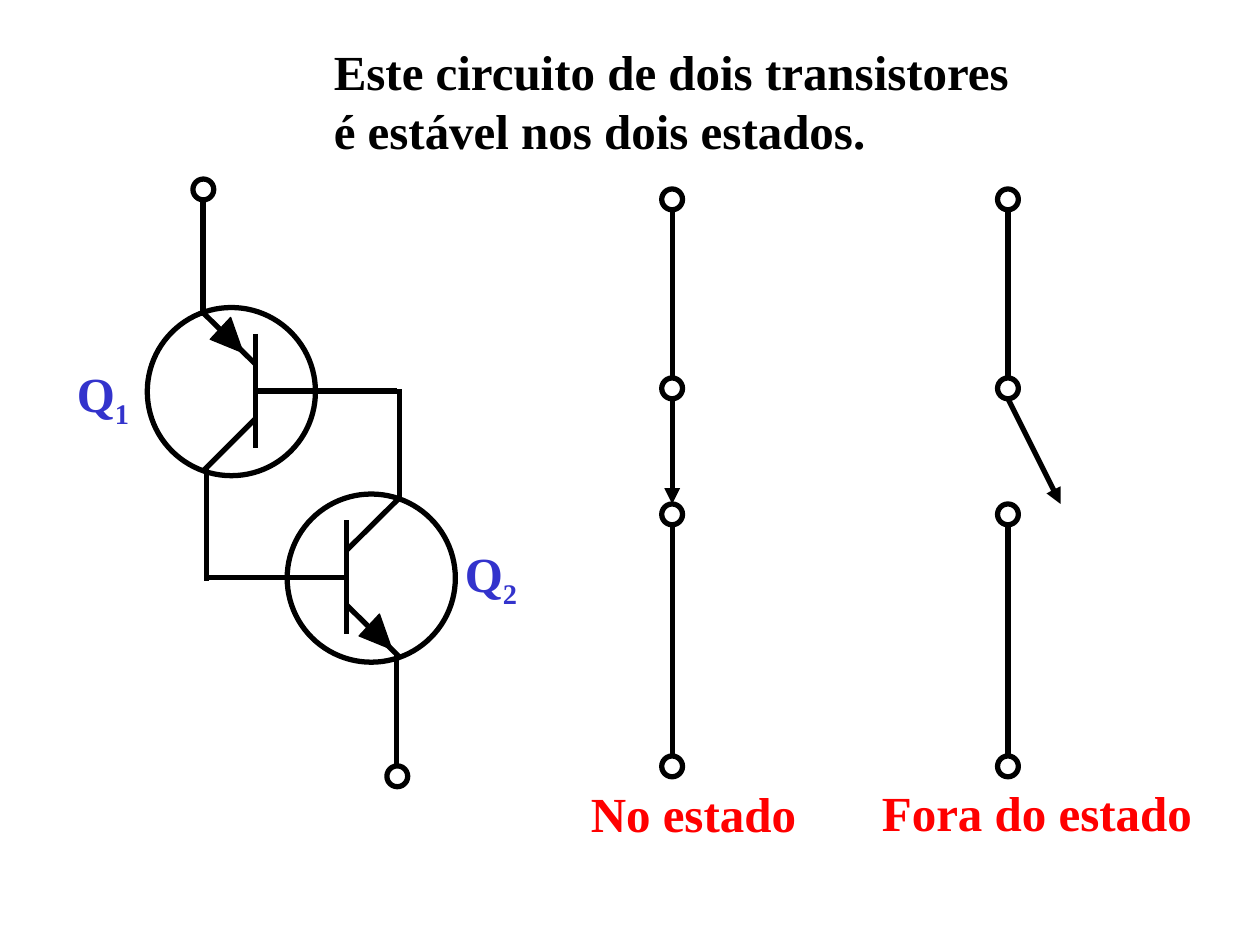
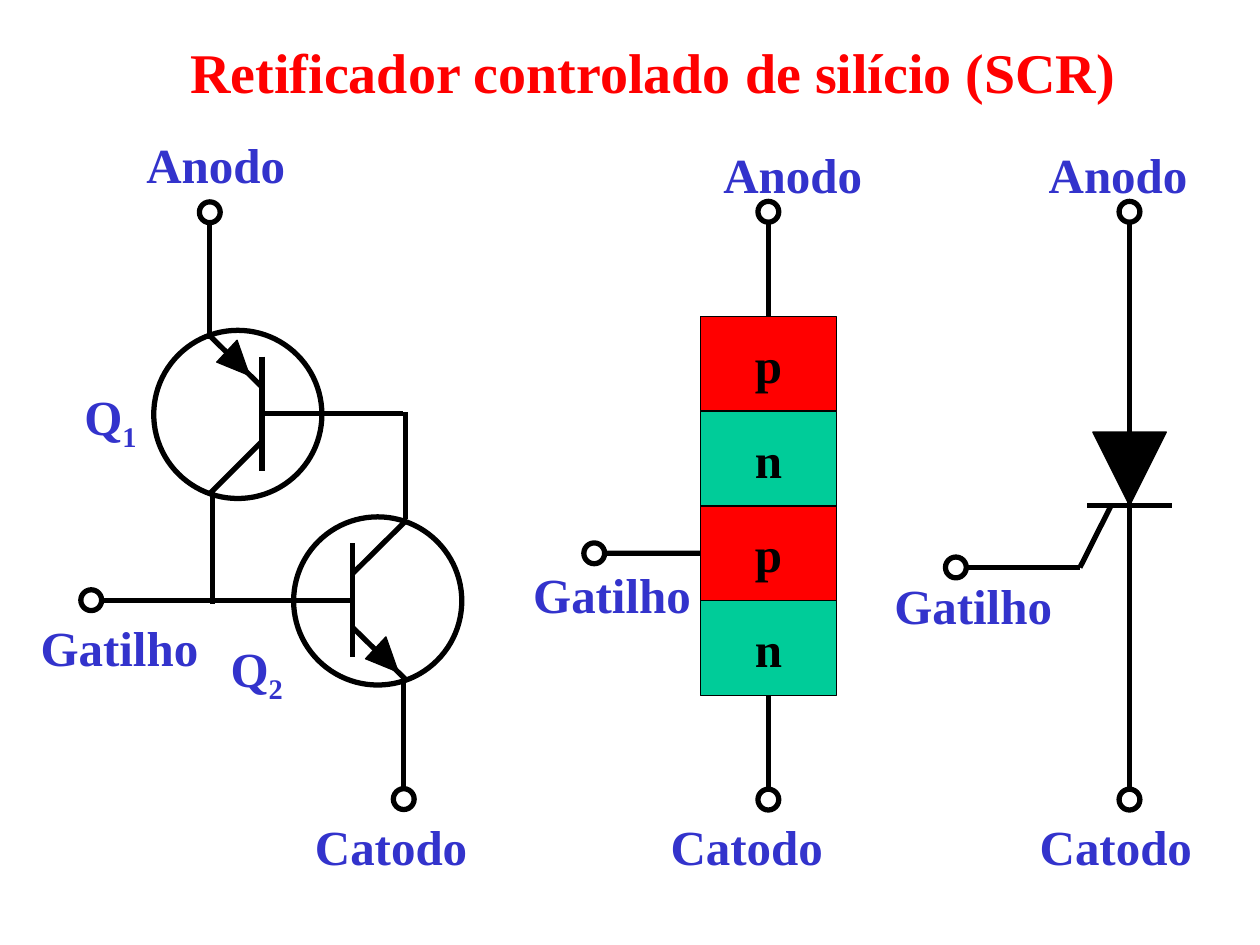
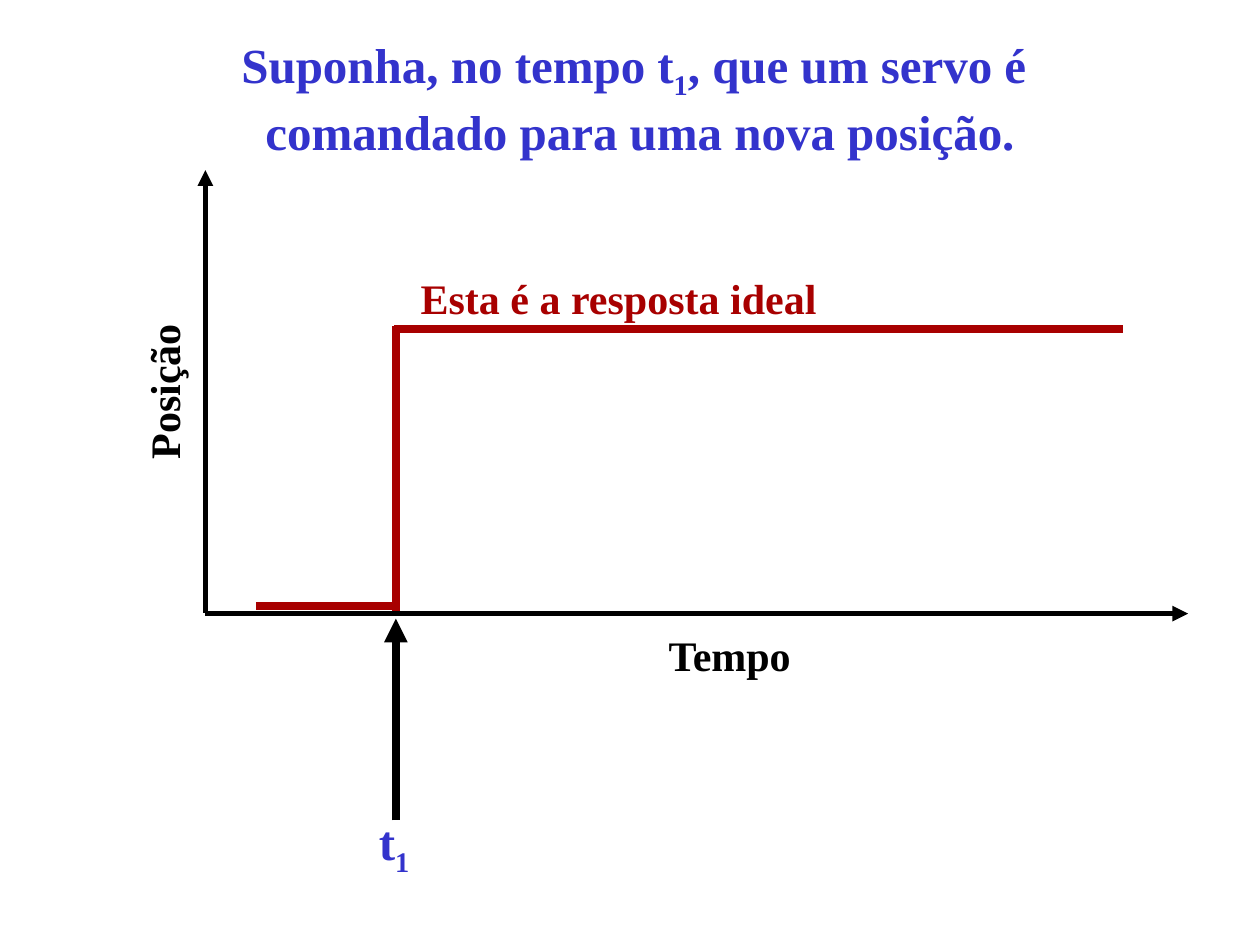
"""Build three slides on the SCR, its two-transistor model and the ideal servo response."""

from lxml.etree import SubElement
from pptx import Presentation
from pptx.dml.color import RGBColor
from pptx.enum.shapes import MSO_CONNECTOR, MSO_SHAPE
from pptx.enum.text import MSO_ANCHOR, MSO_AUTO_SIZE, PP_ALIGN
from pptx.oxml.ns import qn
from pptx.util import Cm, Pt

BLACK = RGBColor(0x00, 0x00, 0x00)
BLUE = RGBColor(0x33, 0x33, 0xCC)
RED = RGBColor(0xFF, 0x00, 0x00)
GREEN = RGBColor(0x00, 0xCC, 0x99)
DARK_RED = RGBColor(0xA8, 0x00, 0x00)
FONT = "Times New Roman"

WIRE, THICK, THIN = 3, 4.5, 0.75
TERMINAL_RADIUS = 0.21
CIRCLE_SIZE = 3.39
TRANSISTOR_LABEL_WIDTH = 1.7

STATE_LABELS = [
    (6.48, 0.71, 14.4, ["Este circuito de dois transistores", "é estável nos dois estados."], BLACK, 28),
    (11.66, 15.67, 4.65, ["No estado"], RED, 28),
    (17.53, 15.65, 6.76, ["Fora do estado"], RED, 28),
    (1.3, 7.2, TRANSISTOR_LABEL_WIDTH, ["Q_1"], BLUE, 28),
    (9.12, 10.83, TRANSISTOR_LABEL_WIDTH, ["Q_2"], BLUE, 28),
]
SCR_LABELS = [
    (3.59, 0.64, 19.2, ["Retificador controlado de silício (SCR)"], RED, 32),
    (1.45, 7.66, TRANSISTOR_LABEL_WIDTH, ["Q_1"], BLUE, 28),
    (4.4, 12.74, TRANSISTOR_LABEL_WIDTH, ["Q_2"], BLUE, 28),
]
ELECTRODES = [
    ("Anodo", 3.3, [(2.7, 2.58), (14.33, 2.79), (20.89, 2.79)]),
    ("Gatilho", 3.68, [(0.57, 12.32), (10.5, 11.25), (17.78, 11.47)]),
    ("Catodo", 3.58, [(6.1, 16.33), (13.27, 16.33), (20.71, 16.33)]),
]
SERVO_LABELS = [
    (13.23, 12.57, 3.05, ["Tempo"], BLACK, 24),
    (7.39, 16.23, 1.2, ["t_1"], BLUE, 28),
    (8.23, 5.36, 8.71, ["Esta é a resposta ideal"], DARK_RED, 24),
]
SERVO_TITLE = (4.55, 0.57, 16.7,
               ["Suponha, no tempo t_1_, que um servo é ", "comandado para uma nova posição."], BLUE, 28)
POSITION_LABEL = (1.68, 7.26, 3.23, ["Posição"], BLACK, 24)

PAIR_CIRCLES = [(0, 0), (2.82, 3.76)]
PAIR_TERMINALS = [(1.13, -2.38), (5.04, 9.45)]
PAIR_WIRES = [
    ((2.18, 0.53), (2.18, 2.84)),
    ((2.18, 1.14), (1.12, 0.1)),
    ((2.2, 1.68), (5.03, 1.68)),
    ((2.18, 2.24), (1.12, 3.3)),
    ((1.19, 3.23), (1.19, 5.51)),
    ((1.12, -2.16), (1.12, 0.18)),
    ((4.01, 4.29), (4.01, 6.58)),
    ((4.01, 5.99), (5.08, 7.04)),
    ((4.01, 4.9), (5.08, 3.84)),
    ((5.08, 3.81), (5.08, 1.65)),
    ((5.03, 9.22), (5.03, 6.99)),
]
PAIR_BASE_Y, PAIR_BASE_RIGHT = 5.44, 3.99
EMITTER_ARROW = [(1.93, 0.91), (1.68, 0.2), (1.27, 0.64)]
ARROW_OFFSETS = [(0, 0), (3, 5.98)]

SWITCHES = [(13.55, 0), (20.32, 1.06)]
SWITCH_TERMINALS = [4.02, 7.83, 10.37, 15.45]

ANODE_Y, CATHODE_Y = 4.27, 16.12
LAYERS = [("p", RED), ("n", GREEN), ("p", RED), ("n", GREEN)]
STACK_X, STACK_TOP, LAYER_WIDTH, LAYER_HEIGHT = 15.49, 6.38, 2.74, 1.91
STACK_GATE_X = 11.98
SYMBOL_X, SYMBOL_BAR_Y, TRIANGLE_SIZE, BAR_LENGTH = 22.77, 10.19, 1.48, 1.7
SYMBOL_GATE = (19.27, 11.44)

AXES = [((4.14, 12.37), (23.95, 12.37)), ((4.14, 12.35), (4.14, 3.43))]
STEP = [((5.16, 12.22), (8.03, 12.22)), ((7.98, 12.32), (7.98, 6.58)), ((7.95, 6.63), (22.63, 6.63))]
STEP_MARK = ((7.98, 16.54), (7.98, 12.47))


def style_font(paragraph, colour, size):
    paragraph.font.name = FONT
    paragraph.font.size = Pt(size)
    paragraph.font.bold = True
    paragraph.font.color.rgb = colour


def add_label(slide, left, top, width, lines, colour, size, alignment=PP_ALIGN.LEFT):
    height = 0.25 + len(lines) * size * 0.0424
    box = slide.shapes.add_textbox(Cm(left), Cm(top), Cm(width), Cm(height))
    frame = box.text_frame
    frame.word_wrap = False
    frame.auto_size = MSO_AUTO_SIZE.SHAPE_TO_FIT_TEXT
    for number, line in enumerate(lines):
        paragraph = frame.add_paragraph() if number else frame.paragraphs[0]
        paragraph.alignment = alignment
        style_font(paragraph, colour, size)
        for position, text in enumerate(line.split("_")):
            run = paragraph.add_run()
            run.text = text
            if position % 2:
                run._r.get_or_add_rPr().set("baseline", "-25000")
    return box


def add_wire(slide, start, end, colour=BLACK, weight=WIRE, arrow=False):
    points = [Cm(value) for value in (*start, *end)]
    wire = slide.shapes.add_connector(MSO_CONNECTOR.STRAIGHT, *points)
    wire.line.color.rgb = colour
    wire.line.width = Pt(weight)
    if arrow:
        SubElement(wire.line._get_or_add_ln(), qn("a:tailEnd"), type="triangle")
    SubElement(wire._element.spPr, qn("a:effectLst"))
    return wire


def style_outline(shape, weight, fill=None):
    shape.shadow.inherit = False
    shape.line.color.rgb = BLACK
    shape.line.width = Pt(weight)
    if fill is None:
        shape.fill.background()
    else:
        shape.fill.solid()
        shape.fill.fore_color.rgb = fill


def add_figure(slide, kind, left, top, width, height, weight, fill=None):
    shape = slide.shapes.add_shape(kind, Cm(left), Cm(top), Cm(width), Cm(height))
    style_outline(shape, weight, fill)
    return shape


def add_terminal(slide, x, y):
    diameter = 2 * TERMINAL_RADIUS
    add_figure(slide, MSO_SHAPE.OVAL, x - TERMINAL_RADIUS, y - TERMINAL_RADIUS, diameter, diameter, WIRE)


def add_transistor_pair(slide, left, top, base_left):
    def place(point):
        return left + point[0], top + point[1]

    base_wire = ((PAIR_BASE_RIGHT, PAIR_BASE_Y), (base_left, PAIR_BASE_Y))
    for start, end in PAIR_WIRES + [base_wire]:
        add_wire(slide, place(start), place(end))
    for shift_x, shift_y in ARROW_OFFSETS:
        corners = [place((x + shift_x, y + shift_y)) for x, y in EMITTER_ARROW]
        points = [(Cm(x), Cm(y)) for x, y in corners]
        builder = slide.shapes.build_freeform(*points[0])
        builder.add_line_segments(points[1:], close=True)
        style_outline(builder.convert_to_shape(), THIN, BLACK)
    for circle in PAIR_CIRCLES:
        add_figure(slide, MSO_SHAPE.OVAL, *place(circle), CIRCLE_SIZE, CIRCLE_SIZE, WIRE)
    for terminal in PAIR_TERMINALS:
        add_terminal(slide, *place(terminal))


def add_switch(slide, x, swing):
    for y in SWITCH_TERMINALS:
        add_terminal(slide, x, y)
    gaps = list(zip(SWITCH_TERMINALS, SWITCH_TERMINALS[1:]))
    for number, (upper, lower) in enumerate(gaps):
        is_blade = number == 1
        end_x = x + swing if is_blade else x
        add_wire(slide, (x, upper + TERMINAL_RADIUS), (end_x, lower - TERMINAL_RADIUS), arrow=is_blade)


def add_layer_stack(slide):
    layers = []
    left = STACK_X - LAYER_WIDTH / 2
    for number, (letter, colour) in enumerate(LAYERS):
        top = STACK_TOP + number * LAYER_HEIGHT
        layer = add_figure(slide, MSO_SHAPE.RECTANGLE, left, top, LAYER_WIDTH, LAYER_HEIGHT, THIN, colour)
        layer.text_frame.vertical_anchor = MSO_ANCHOR.MIDDLE
        paragraph = layer.text_frame.paragraphs[0]
        paragraph.text = letter
        paragraph.alignment = PP_ALIGN.CENTER
        style_font(paragraph, BLACK, 28)
        layers.append(layer)
    gate_y = STACK_TOP + 2.5 * LAYER_HEIGHT
    bottom = STACK_TOP + len(LAYERS) * LAYER_HEIGHT
    leads = [
        ((STACK_X, ANODE_Y), (0, TERMINAL_RADIUS), (STACK_X, STACK_TOP), layers[0], 0),
        ((STACK_GATE_X, gate_y), (TERMINAL_RADIUS, 0), (left, gate_y), layers[2], 1),
        ((STACK_X, CATHODE_Y), (0, -TERMINAL_RADIUS), (STACK_X, bottom), layers[3], 2),
    ]
    for (x, y), (shift_x, shift_y), end, layer, side in leads:
        add_terminal(slide, x, y)
        add_wire(slide, (x + shift_x, y + shift_y), end).end_connect(layer, side)


def add_scr_symbol(slide):
    gate_x, gate_y = SYMBOL_GATE
    bend = (21.77, gate_y)
    half_bar = BAR_LENGTH / 2
    for x, y in [(SYMBOL_X, ANODE_Y), (SYMBOL_X, CATHODE_Y), SYMBOL_GATE]:
        add_terminal(slide, x, y)
    add_wire(slide, (SYMBOL_X, ANODE_Y + TERMINAL_RADIUS), (SYMBOL_X, CATHODE_Y - TERMINAL_RADIUS))
    add_wire(slide, (SYMBOL_X - half_bar, SYMBOL_BAR_Y), (SYMBOL_X + half_bar, SYMBOL_BAR_Y))
    add_wire(slide, (22.4, SYMBOL_BAR_Y), bend)
    add_wire(slide, bend, (gate_x + TERMINAL_RADIUS, gate_y))
    triangle = add_figure(slide, MSO_SHAPE.ISOSCELES_TRIANGLE, SYMBOL_X - TRIANGLE_SIZE / 2,
                          SYMBOL_BAR_Y - TRIANGLE_SIZE, TRIANGLE_SIZE, TRIANGLE_SIZE, THIN, BLACK)
    triangle.rotation = 180


def build_states(slide):
    add_transistor_pair(slide, 2.97, 6.2, base_left=1.14)
    for x, swing in SWITCHES:
        add_switch(slide, x, swing)
    for label in STATE_LABELS:
        add_label(slide, *label)


def build_scr(slide):
    left, top, gate_x = 3.1, 6.66, 1.84
    add_transistor_pair(slide, left, top, base_left=gate_x + TERMINAL_RADIUS - left)
    add_terminal(slide, gate_x, top + PAIR_BASE_Y)
    add_layer_stack(slide)
    add_scr_symbol(slide)
    for label in SCR_LABELS:
        add_label(slide, *label)
    for name, width, places in ELECTRODES:
        for x, y in places:
            add_label(slide, x, y, width, [name], BLUE, 28)


def build_servo(slide):
    for start, end in AXES:
        add_wire(slide, start, end, arrow=True)
    for start, end in STEP:
        add_wire(slide, start, end, DARK_RED, THICK)
    add_wire(slide, *STEP_MARK, weight=THICK, arrow=True)
    add_label(slide, *POSITION_LABEL).rotation = 270
    for label in SERVO_LABELS:
        add_label(slide, *label)
    add_label(slide, *SERVO_TITLE, alignment=PP_ALIGN.CENTER)


def main():
    presentation = Presentation()
    presentation.slide_width, presentation.slide_height = Cm(25.4), Cm(19.05)
    for build in (build_states, build_scr, build_servo):
        build(presentation.slides.add_slide(presentation.slide_layouts[6]))
    presentation.save("out.pptx")


if __name__ == "__main__":
    main()
